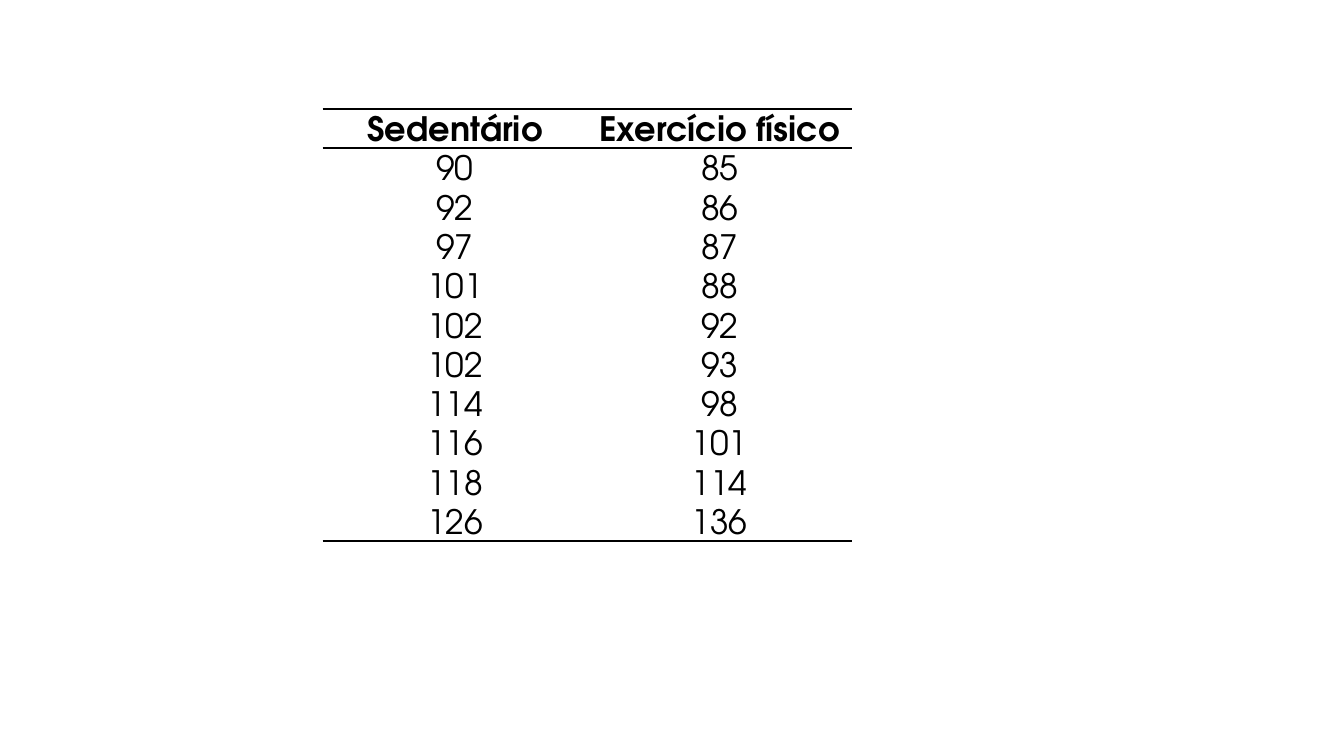
from dataclasses import dataclass

from lxml.etree import SubElement
from pptx import Presentation
from pptx.dml.color import RGBColor
from pptx.enum.text import MSO_ANCHOR, PP_ALIGN
from pptx.oxml.ns import qn
from pptx.util import Cm, Pt

# Content
HEADINGS = ("Sedentário", "Exercício físico")
SEDENTARY = (90, 92, 97, 101, 102, 102, 114, 116, 118, 126)
EXERCISE = (85, 86, 87, 88, 92, 93, 98, 101, 114, 136)
ROWS = [HEADINGS, *zip(SEDENTARY, EXERCISE)]


@dataclass(frozen=True)
class Theme:
    font: str = "TeX Gyre Adventor"
    size: Pt = Pt(24)
    ink: str = "000000"
    rule: Pt = Pt(1.5)


THEME = Theme()

# Layout
TABLE_LEFT, TABLE_TOP = Cm(8.13), Cm(2.74)
COLUMN_WIDTH, ROW_HEIGHT = Cm(6.67), Cm(0.99)
INSET = Cm(0.02)


def set_borders(cell, ruled_sides):
    """Rule the named sides (T, B) and leave the others bare."""
    properties = cell._tc.get_or_add_tcPr()
    for place, side in enumerate("LRTB"):
        line = SubElement(properties, qn(f"a:ln{side}"))
        properties.insert(place, line)
        if side in ruled_sides:
            line.set("w", str(THEME.rule))
            fill = SubElement(line, qn("a:solidFill"))
            SubElement(fill, qn("a:srgbClr")).set("val", THEME.ink)
        else:
            SubElement(line, qn("a:noFill"))


def write_cell(cell, text, bold):
    cell.fill.background()
    cell.vertical_anchor = MSO_ANCHOR.BOTTOM
    cell.margin_left = cell.margin_right = cell.margin_top = INSET
    cell.margin_bottom = 0
    para = cell.text_frame.paragraphs[0]
    para.alignment = PP_ALIGN.CENTER
    span = para.add_run()
    span.text = str(text)
    span.font.name = THEME.font
    span.font.size = THEME.size
    span.font.bold = bold
    span.font.color.rgb = RGBColor.from_string(THEME.ink)


def add_comparison_table(page):
    table = page.shapes.add_table(
        len(ROWS), len(HEADINGS), TABLE_LEFT, TABLE_TOP,
        COLUMN_WIDTH * len(HEADINGS), ROW_HEIGHT * len(ROWS),
    ).table
    table.first_row = table.horz_banding = False
    for column in table.columns:
        column.width = COLUMN_WIDTH

    # Rules above and below the heading, and below the last row
    ruled_sides = {0: "TB", 1: "T", len(ROWS) - 1: "B"}
    for row_number, values in enumerate(ROWS):
        table.rows[row_number].height = ROW_HEIGHT
        for column_number, value in enumerate(values):
            cell = table.cell(row_number, column_number)
            write_cell(cell, value, bold=row_number == 0)
            set_borders(cell, ruled_sides.get(row_number, ""))


def main():
    deck = Presentation()
    deck.slide_width, deck.slide_height = Cm(33.87), Cm(19.05)
    page = deck.slides.add_slide(deck.slide_layouts[6])
    add_comparison_table(page)
    deck.save("out.pptx")


if __name__ == "__main__":
    main()
